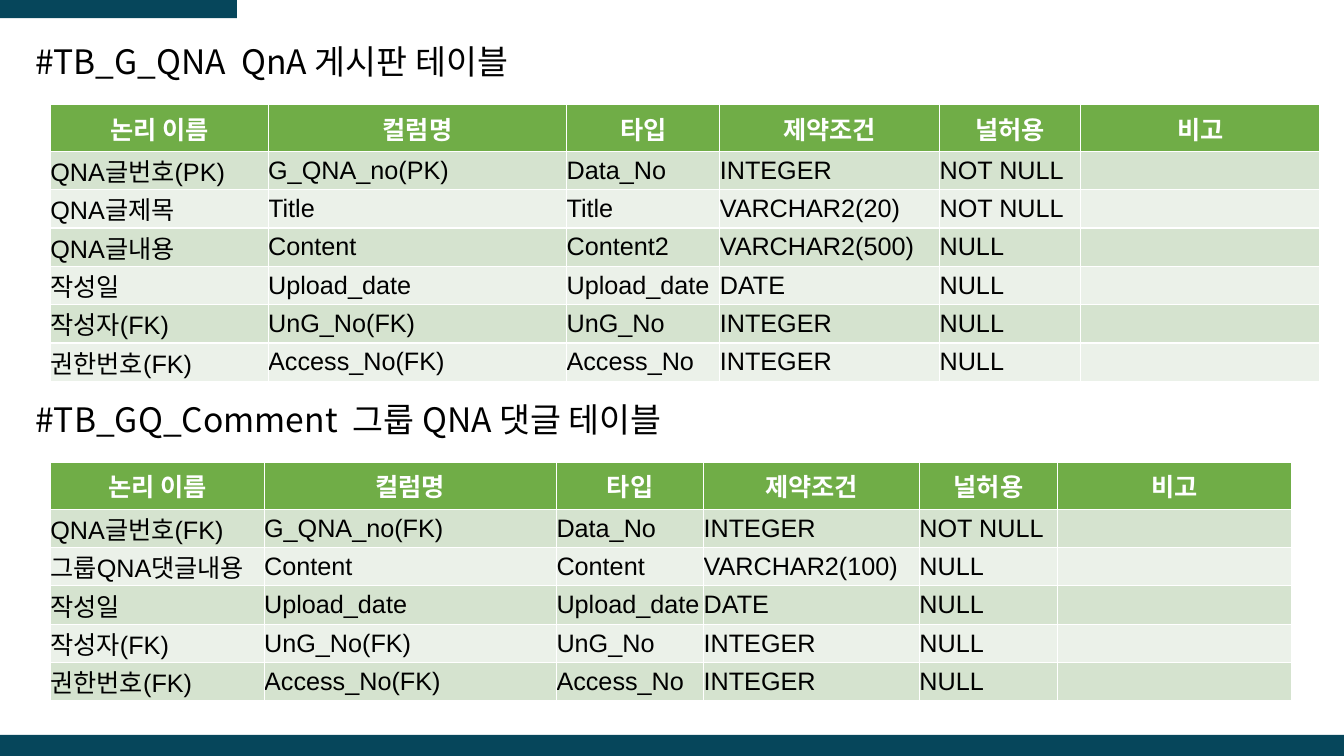
from pptx import Presentation
from pptx.dml.color import RGBColor
from pptx.enum.shapes import MSO_SHAPE
from pptx.enum.text import MSO_ANCHOR, MSO_AUTO_SIZE, PP_ALIGN
from pptx.util import Inches, Pt

COLORS = {"bar": "06465B", "header": "70AD47", "odd": "D5E3CF",
          "even": "EBF1E9", "white": "FFFFFF", "black": "000000"}
HEADER = ["논리 이름", "컬럼명", "타입", "제약조건", "널허용", "비고"]


class SchemaSlide:
    HEADING_FONT, TABLE_FONT = "Noto Sans CJK KR", "Arial"
    HEADER_HEIGHT, ROW_HEIGHT = 0.46, 0.38

    def __init__(self, deck):
        self.slide = deck.slides.add_slide(deck.slide_layouts[5])

    def color(self, name):
        return RGBColor.from_string(COLORS[name])

    def bar(self, left, top, width, height):
        bar = self.slide.shapes.add_shape(
            MSO_SHAPE.RECTANGLE, *map(Inches, (left, top, width, height)))
        bar.shadow.inherit = False
        bar.fill.solid()
        bar.fill.fore_color.rgb = self.color("bar")
        bar.line.fill.background()

    def heading(self, box, text, top):
        box.left, box.top = Inches(0.25), Inches(top)
        box.width, box.height = Inches(8.21), Inches(0.43)
        frame = box.text_frame
        frame.word_wrap = True
        frame.auto_size = MSO_AUTO_SIZE.NONE
        frame.vertical_anchor = MSO_ANCHOR.MIDDLE
        frame.text = text
        paragraph = frame.paragraphs[0]
        paragraph.alignment = PP_ALIGN.LEFT
        paragraph.line_spacing = 0.9
        self.style(paragraph, self.HEADING_FONT, 24, "black")

    def style(self, paragraph, font, size, color, bold=False):
        paragraph.font.name, paragraph.font.size = font, Pt(size)
        paragraph.font.bold = bold
        paragraph.font.color.rgb = self.color(color)

    def table(self, top, widths, rows):
        height = self.HEADER_HEIGHT + self.ROW_HEIGHT * len(rows)
        table = self.slide.shapes.add_table(
            len(rows) + 1, len(widths), Inches(0.5), Inches(top),
            Inches(sum(widths)), Inches(height)).table
        for column, width in zip(table.columns, widths):
            column.width = Inches(width)
        for r, values in enumerate([HEADER] + rows):
            is_header = r == 0
            table.rows[r].height = Inches(
                self.HEADER_HEIGHT if is_header else self.ROW_HEIGHT)
            fill = "header" if is_header else "odd" if r % 2 else "even"
            for c in range(len(widths)):
                text = values[c] if c < len(values) else ""
                self.cell(table.cell(r, c), text, fill, is_header)

    def cell(self, cell, text, fill, is_header):
        cell.fill.solid()
        cell.fill.fore_color.rgb = self.color(fill)
        cell.text = text
        paragraph = cell.text_frame.paragraphs[0]
        if is_header:
            paragraph.alignment = PP_ALIGN.CENTER
        else:
            cell.vertical_anchor = MSO_ANCHOR.MIDDLE
            cell.margin_left = cell.margin_right = 0
            cell.margin_top = cell.margin_bottom = 0
        self.style(paragraph, self.TABLE_FONT, 18,
                   "white" if is_header else "black", is_header)


def main():
    deck = Presentation()
    deck.slide_width, deck.slide_height = Inches(13.33), Inches(7.5)
    page = SchemaSlide(deck)
    shapes = page.slide.shapes

    # Corner and footer bars
    page.bar(0, 0, 2.35, 0.18)
    page.bar(0, 7.29, 13.33, 0.21)

    # Q&A board table
    board_heading = shapes.add_textbox(0, 0, 0, 0)
    page.heading(board_heading, "#TB_G_QNA  QnA 게시판 테이블", 0.42)
    page.table(1.04, [2.16, 2.96, 1.52, 2.18, 1.4, 2.37], [
        ["QNA글번호(PK)", "G_QNA_no(PK)", "Data_No", "INTEGER", "NOT NULL"],
        ["QNA글제목", "Title", "Title", "VARCHAR2(20)", "NOT NULL"],
        ["QNA글내용", "Content", "Content2", "VARCHAR2(500)", "NULL"],
        ["작성일", "Upload_date", "Upload_date", "DATE", "NULL"],
        ["작성자(FK)", "UnG_No(FK)", "UnG_No", "INTEGER", "NULL"],
        ["권한번호(FK)", "Access_No(FK)", "Access_No", "INTEGER", "NULL"],
    ])

    # Comment table
    page.heading(shapes.title, "#TB_GQ_Comment  그룹 QNA 댓글 테이블", 3.97)
    page.table(4.59, [2.12, 2.9, 1.46, 2.14, 1.37, 2.32], [
        ["QNA글번호(FK)", "G_QNA_no(FK)", "Data_No", "INTEGER", "NOT NULL"],
        ["그룹QNA댓글내용", "Content", "Content", "VARCHAR2(100)", "NULL"],
        ["작성일", "Upload_date", "Upload_date", "DATE", "NULL"],
        ["작성자(FK)", "UnG_No(FK)", "UnG_No", "INTEGER", "NULL"],
        ["권한번호(FK)", "Access_No(FK)", "Access_No", "INTEGER", "NULL"],
    ])

    deck.save("out.pptx")


if __name__ == "__main__":
    main()
